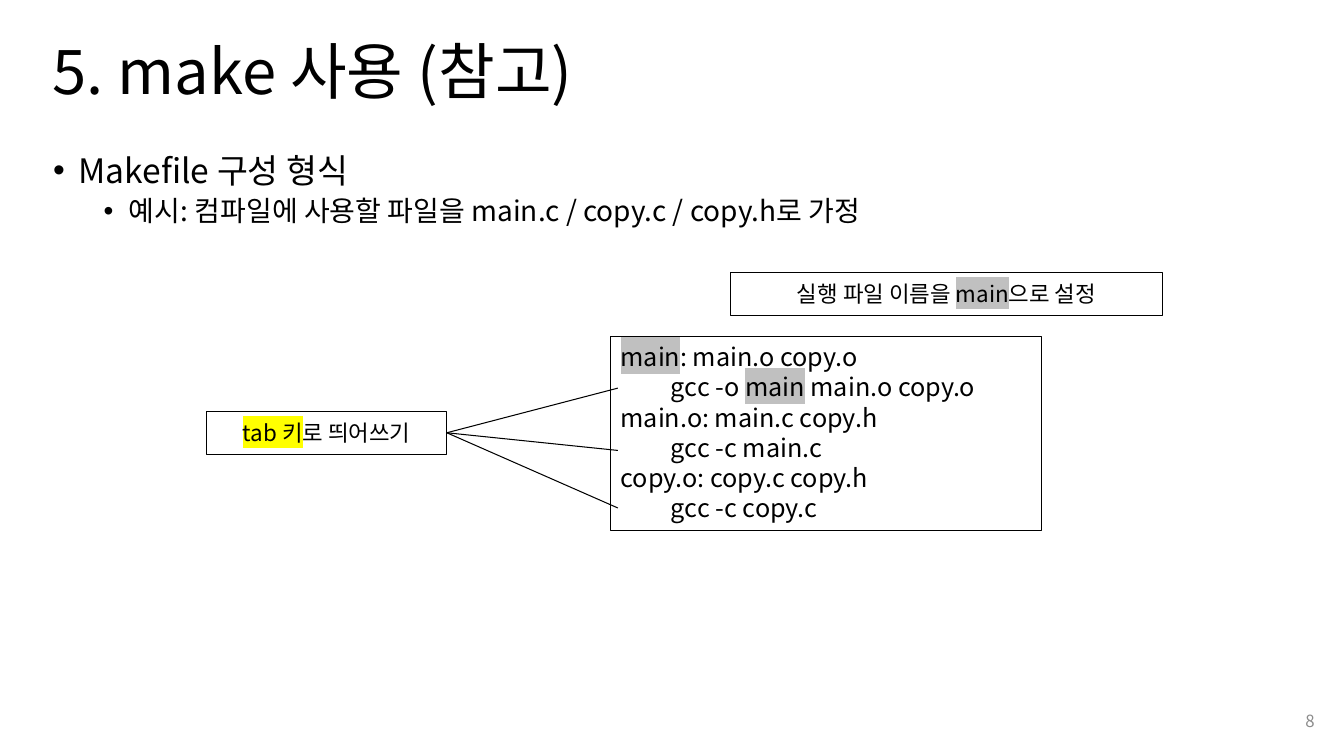
import pptx
import pptx.util
import pptx.dml.color
import pptx.enum.shapes
import pptx.enum.text
import lxml.etree
from pptx.oxml.ns import qn

Cm, Pt = pptx.util.Cm, pptx.util.Pt
RGBColor = pptx.dml.color.RGBColor
ALIGN, ANCHOR = pptx.enum.text.PP_ALIGN, pptx.enum.text.MSO_ANCHOR
FIT = pptx.enum.text.MSO_AUTO_SIZE

FONT = "Noto Sans CJK KR"
BLACK = RGBColor(0, 0, 0)
WHITE = RGBColor(255, 255, 255)
PAGE_GRAY = RGBColor(0x8C, 0x8C, 0x8C)
GRAY = RGBColor(0xC0, 0xC0, 0xC0)
YELLOW = RGBColor(255, 255, 0)

TITLE = "5. make 사용 (참고)"
BULLETS = [
    ("Makefile 구성 형식", 24, 10, 0.64),
    ("예시: 컴파일에 사용할 파일을 main.c / copy.c / copy.h로 가정", 20, 5, 1.91),
]
PAGE = "8"
TAB = ("\t", YELLOW)
MAIN = ("main", GRAY)
CODE = [
    [MAIN, (": main.o copy.o", None)],
    [TAB, ("gcc -o ", None), MAIN, (" main.o copy.o", None)],
    [("main.o: main.c copy.h", None)],
    [TAB, ("gcc -c main.c", None)],
    [("copy.o: copy.c copy.h", None)],
    [TAB, ("gcc -c copy.c", None)],
]
NAME_NOTE = [[("실행 파일 이름을 ", None), MAIN, ("으로 설정", None)]]
TAB_NOTE = [[("tab 키", YELLOW), ("로 띄어쓰기", None)]]
CODE_BOX = (15.39, 8.48, 10.87, 4.88)
NAME_BOX = (18.42, 6.86, 10.87, 1.09)
TAB_BOX = (5.21, 10.36, 6.05, 1.09)
TAB_ENDS_X = 15.57
TAB_ENDS_Y = [9.78, 11.35, 12.8]


def style(r, size, color=BLACK, highlight=None):
    """Format one run, with an optional highlight."""
    r.font.size = Pt(size)
    r.font.color.rgb = color
    r.font.name = FONT
    rPr = r._r.get_or_add_rPr()
    latin = rPr.find(qn("a:latin"))
    ea = lxml.etree.Element(qn("a:ea"), typeface=FONT)
    latin.addnext(ea)
    if highlight is not None:
        mark = lxml.etree.Element(qn("a:highlight"))
        lxml.etree.SubElement(mark, qn("a:srgbClr"), val=str(highlight))
        latin.addprevious(mark)


def add_text(s, box, anchor):
    """Add a wrapping text box and return its text frame."""
    tf = s.shapes.add_textbox(*map(Cm, box)).text_frame
    tf.word_wrap = True
    tf.vertical_anchor = anchor
    return tf


def add_box(s, box, lines, size, align, fill=None):
    """Add an outlined rectangle holding lines of highlighted runs."""
    sp = s.shapes.add_shape(pptx.enum.shapes.MSO_SHAPE.RECTANGLE, *map(Cm, box))
    sp.shadow.inherit = False
    if fill is None:
        sp.fill.background()
    else:
        sp.fill.solid()
        sp.fill.fore_color.rgb = fill
    sp.line.color.rgb = BLACK
    sp.line.width = Pt(0.75)
    tf = sp.text_frame
    tf.vertical_anchor = ANCHOR.MIDDLE
    for i, line in enumerate(lines):
        p = tf.add_paragraph() if i else tf.paragraphs[0]
        p.alignment = align
        for text, highlight in line:
            r = p.add_run()
            r.text = text
            style(r, size, highlight=highlight)
    return tf


def add_bullets(s):
    """Add the bulleted list under the title."""
    tf = add_text(s, (1.09, 3.76, 31.04, 13.39), ANCHOR.TOP)
    for i, (text, size, before, indent) in enumerate(BULLETS):
        p = tf.add_paragraph() if i else tf.paragraphs[0]
        p.text = text
        p.level = i
        p.line_spacing = 0.9
        p.space_before = Pt(before)
        style(p.runs[0], size)
        pPr = p._p.get_or_add_pPr()
        pPr.set("marL", str(Cm(indent)))
        pPr.set("indent", str(-Cm(0.64)))
        lxml.etree.SubElement(pPr, qn("a:buFont"), typeface="Arial")
        lxml.etree.SubElement(pPr, qn("a:buChar"), char="•")


def main():
    """Build the slide and save it."""
    prs = pptx.Presentation()
    prs.slide_width, prs.slide_height = Cm(33.87), Cm(19.05)
    s = prs.slides.add_slide(prs.slide_layouts[5])

    title = s.shapes.title
    title.left, title.top, title.width, title.height = map(Cm, (1.07, 0.74, 29.21, 2.26))
    tf = title.text_frame
    tf.text = TITLE
    tf.auto_size = FIT.NONE
    tf.vertical_anchor = ANCHOR.MIDDLE
    p = tf.paragraphs[0]
    p.alignment = ALIGN.LEFT
    p.line_spacing = 0.9
    style(p.runs[0], 44)

    add_bullets(s)

    tf = add_text(s, (25.76, 17.65, 7.62, 1.02), ANCHOR.MIDDLE)
    tf.text = PAGE
    p = tf.paragraphs[0]
    p.alignment = ALIGN.RIGHT
    style(p.runs[0], 12, PAGE_GRAY)

    tf = add_box(s, CODE_BOX, CODE, 18, ALIGN.LEFT)
    tf.vertical_anchor = ANCHOR.TOP
    tf.word_wrap = False
    tf.auto_size = FIT.SHAPE_TO_FIT_TEXT
    add_box(s, NAME_BOX, NAME_NOTE, 16, ALIGN.CENTER, WHITE)
    add_box(s, TAB_BOX, TAB_NOTE, 16, ALIGN.CENTER, WHITE)

    left, top, width, height = TAB_BOX
    for y in TAB_ENDS_Y:
        line = s.shapes.add_connector(
            pptx.enum.shapes.MSO_CONNECTOR.STRAIGHT,
            Cm(TAB_ENDS_X), Cm(y), Cm(left + width), Cm(top + height / 2))
        line.line.color.rgb = BLACK
        line.line.width = Pt(0.75)
        lxml.etree.SubElement(line._element.spPr, qn("a:effectLst"))

    prs.save("out.pptx")


if __name__ == "__main__":
    main()
